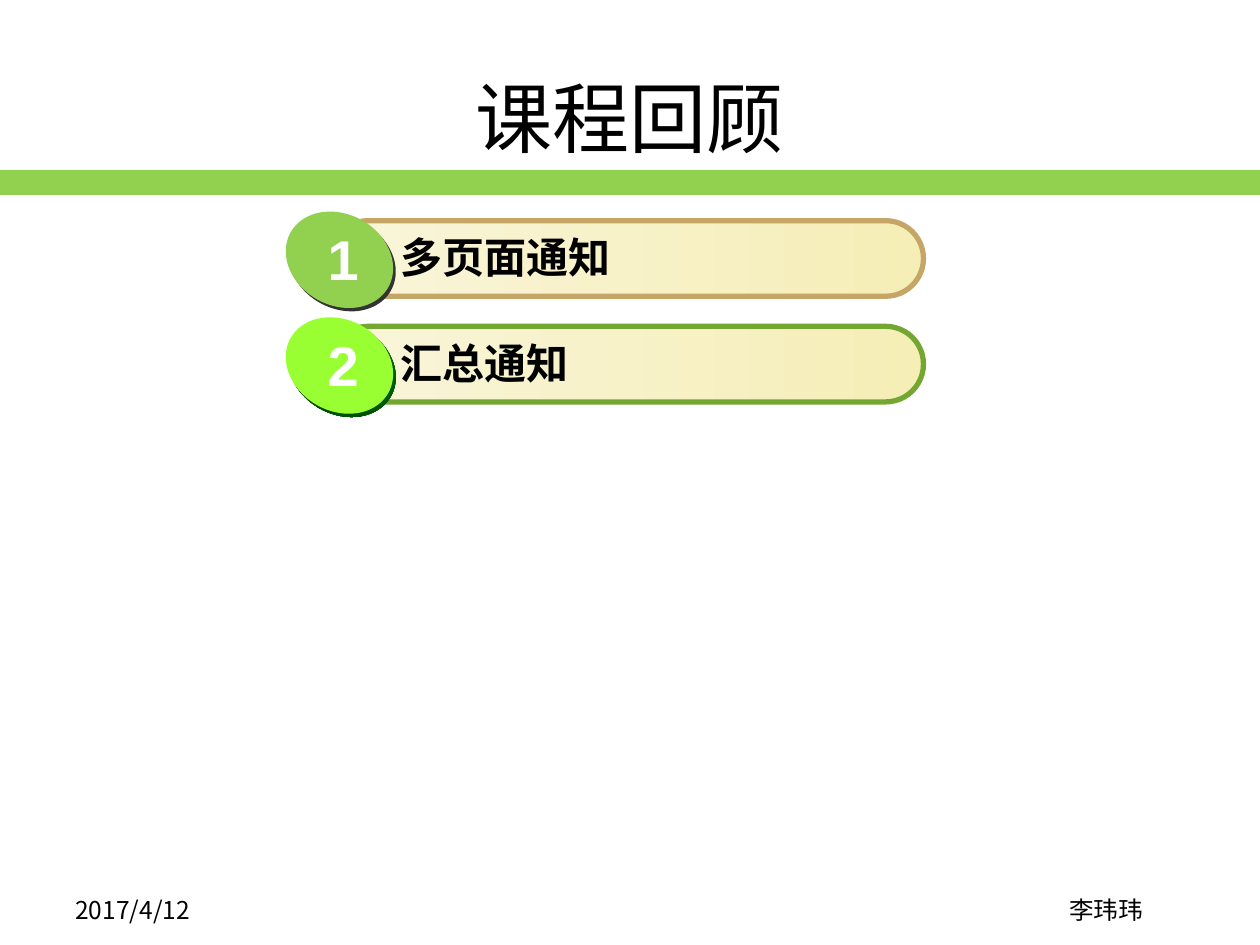
from dataclasses import dataclass
from typing import Optional

from lxml import etree
from pptx import Presentation
from pptx import util as u
from pptx.dml.color import RGBColor
from pptx.enum import shapes, text
from pptx.oxml.ns import qn


@dataclass(frozen=True)
class Theme:
    latin: str = "Arial"
    chinese: str = "Noto Sans CJK SC"
    black: str = "000000"
    white: str = "FFFFFF"
    green: str = "92D050"
    pill: tuple = ("F9F5D9", "F5EEB7")
    title_size: float = 44
    number_size: float = 32
    topic_size: float = 24
    footer_size: float = 14


@dataclass(frozen=True)
class Box:
    left: float
    top: float
    width: float
    height: float

    def lengths(self) -> list:
        return [u.Pt(value) for value in (self.left, self.top, self.width, self.height)]


@dataclass(frozen=True)
class Style:
    size: float
    font: str
    color: str = "000000"
    bold: bool = False
    align: Optional[text.PP_ALIGN] = None


@dataclass(frozen=True)
class Topic:
    number: str
    name: str
    outline: str
    badge: str
    badge_shade: tuple  # one colour, or two for a vertical gradient


THEME = Theme()
TITLE = Style(THEME.title_size, THEME.chinese, THEME.black, align=text.PP_ALIGN.CENTER)
DATE = Style(THEME.footer_size, THEME.chinese, THEME.black)
AUTHOR = Style(THEME.footer_size, THEME.chinese, THEME.black, align=text.PP_ALIGN.CENTER)
TOPIC = Style(THEME.topic_size, THEME.latin, THEME.black, bold=True)
NUMBER = Style(THEME.number_size, THEME.latin, THEME.white, bold=True)

TOPICS = [
    Topic("1", "多页面通知", "C5A667", THEME.green, ("333333",)),
    Topic("2", "汇总通知", "74A731", "99FF33", ("006600", "004900")),
]
FIRST_TOP = 122.5
ROW_PITCH = 60.4
BADGE_TILT = 29.3


def paint(shape, colors: tuple, angle: float = 0) -> None:
    """Fill with one colour, or with a gradient of two."""
    if len(colors) == 1:
        shape.fill.solid()
        shape.fill.fore_color.rgb = RGBColor.from_string(colors[0])
        return
    shape.fill.gradient()
    shape.fill.gradient_angle = angle
    for stop, color in zip(shape.fill.gradient_stops, colors):
        stop.color.rgb = RGBColor.from_string(color)


def add_shape(parent, kind, box: Box, colors: tuple, angle: float = 0):
    shape = parent.shapes.add_shape(kind, *box.lengths())
    shape.shadow.inherit = False
    paint(shape, colors, angle)
    shape.line.fill.background()
    return shape


def add_text(parent, box: Box, words: str, style: Style, wrap: bool = True):
    shape = parent.shapes.add_textbox(*box.lengths())
    frame = shape.text_frame
    frame.word_wrap = wrap
    paragraph = frame.paragraphs[0]
    paragraph.text = words
    if style.align is not None:
        paragraph.alignment = style.align
    font = paragraph.font
    font.size = u.Pt(style.size)
    font.bold = style.bold
    font.color.rgb = RGBColor.from_string(style.color)
    font.name = style.font
    properties = paragraph._p.pPr.find(qn("a:defRPr"))
    etree.SubElement(properties, qn("a:ea")).set("typeface", THEME.chinese)
    return shape


def add_topic(slide, topic: Topic, top: float) -> None:
    group = slide.shapes.add_group_shape()

    # Pill with the topic name
    pill = add_shape(group, shapes.MSO_SHAPE.ROUNDED_RECTANGLE,
                     Box(188.7, top + 3.6, 339, 43.2), THEME.pill)
    pill.adjustments[0] = 0.5
    pill.line.color.rgb = RGBColor.from_string(topic.outline)
    pill.line.width = u.Pt(3)
    add_text(group, Box(221.8, top + 6.2, 270, 36.4), topic.name, TOPIC)

    # Tilted badge over its darker edge
    for left, offset, colors in ((163.5, 1.9, topic.badge_shade), (162, 0, (topic.badge,))):
        badge = add_shape(group, shapes.MSO_SHAPE.OVAL,
                          Box(left, top + offset, 64, 52), colors, angle=270)
        badge.rotation = BADGE_TILT
    add_text(group, Box(180.2, top + 2.3, 32.2, 45.6), topic.number, NUMBER, wrap=False)


def main() -> None:
    presentation = Presentation()
    presentation.slide_width = u.Pt(720)
    presentation.slide_height = u.Pt(540)
    slide = presentation.slides.add_slide(presentation.slide_layouts[6])

    # Footer
    add_text(slide, Box(36, 508, 103, 24.2), "2017/4/12", DATE)
    add_text(slide, Box(598.3, 508, 67.7, 24.2), "李玮玮", AUTHOR)

    # Title and green band
    add_shape(slide, shapes.MSO_SHAPE.RECTANGLE, Box(0, 97.2, 720, 14.2), (THEME.green,))
    title = add_text(slide, Box(36, 21.6, 648, 90), "课程回顾", TITLE)
    title.text_frame.vertical_anchor = text.MSO_ANCHOR.MIDDLE

    # Topics
    for index, topic in enumerate(TOPICS):
        add_topic(slide, topic, FIRST_TOP + index * ROW_PITCH)

    presentation.save("out.pptx")


if __name__ == "__main__":
    main()
